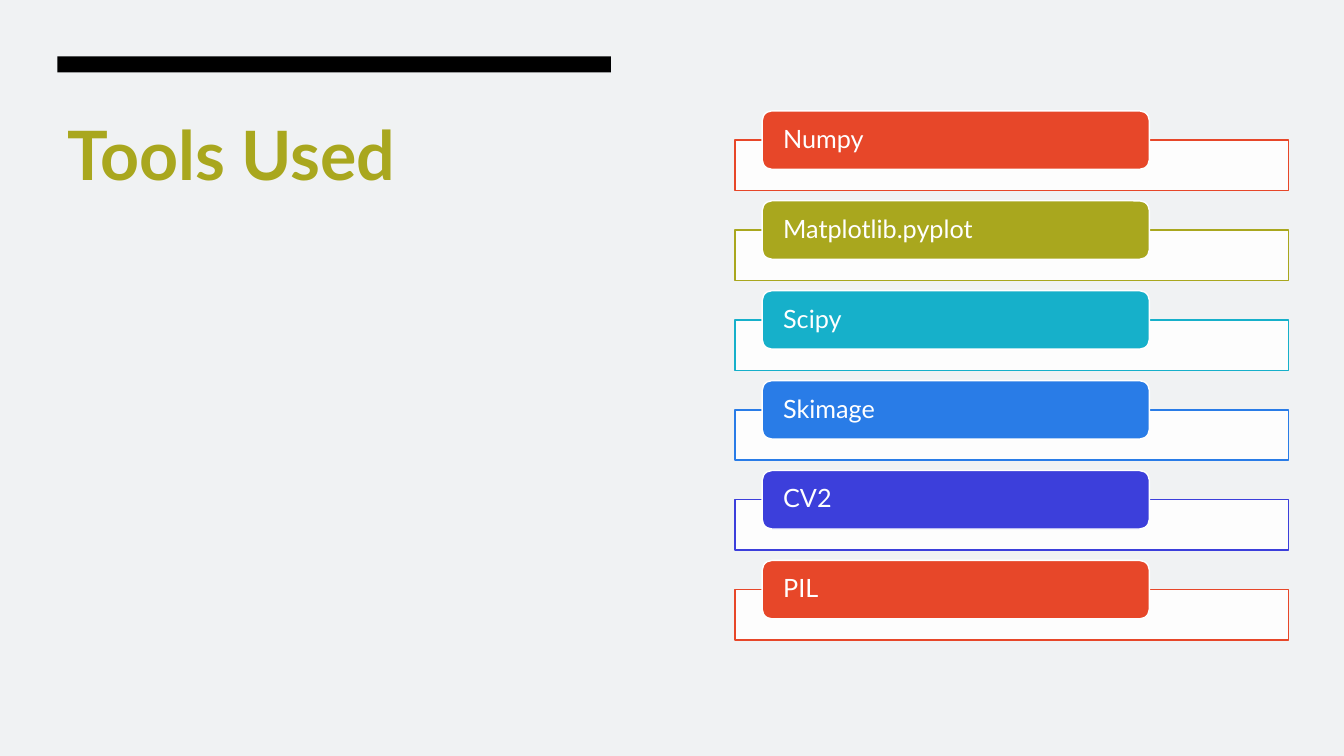
"""Build the "Tools Used" slide with a column of labelled tool cards."""
from dataclasses import dataclass

from lxml import etree
from pptx import Presentation
from pptx.dml.color import RGBColor
from pptx.enum.shapes import MSO_SHAPE
from pptx.enum.text import MSO_ANCHOR, MSO_AUTO_SIZE, PP_ALIGN
from pptx.oxml.ns import qn
from pptx.shapes.autoshape import Shape
from pptx.slide import Slide
from pptx.text.text import TextFrame
from pptx.util import Inches, Pt

RECTANGLE = MSO_SHAPE.RECTANGLE
ROUNDED = MSO_SHAPE.ROUNDED_RECTANGLE
TOP = MSO_ANCHOR.TOP
MIDDLE = MSO_ANCHOR.MIDDLE
LEFT = PP_ALIGN.LEFT
NO_AUTOFIT = MSO_AUTO_SIZE.NONE

PALE_GREY = RGBColor(0xF0, 0xF2, 0xF3)
BLACK = RGBColor(0x00, 0x00, 0x00)
WHITE = RGBColor(0xFF, 0xFF, 0xFF)
RED = RGBColor(0xE7, 0x47, 0x29)
OLIVE = RGBColor(0xA9, 0xA7, 0x1E)
TEAL = RGBColor(0x16, 0xB0, 0xCA)
BLUE = RGBColor(0x29, 0x7C, 0xE7)
INDIGO = RGBColor(0x3C, 0x3F, 0xDB)

FONT = "Lato"
COLUMN_WIDTH = 5.49
FIRST_LABEL_TOP = 1.1
LAST_LABEL_TOP = 5.56
FRAME_DROP = 0.29


@dataclass(frozen=True)
class Tool:
    """A tool name and its accent colour."""

    name: str
    color: RGBColor


@dataclass(frozen=True)
class Area:
    """A rectangle on the slide, in inches."""

    left: float
    top: float
    width: float
    height: float


TOOLS = (
    Tool("Numpy", RED),
    Tool("Matplotlib.pyplot", OLIVE),
    Tool("Scipy", TEAL),
    Tool("Skimage", BLUE),
    Tool("CV2", INDIGO),
    Tool("PIL", RED),
)


def write_text(frame: TextFrame, text: str, *, size: float, color: RGBColor,
               bold: bool = False, anchor: MSO_ANCHOR = MIDDLE,
               side_inset: float = 0.1, end_inset: float = 0.05,
               line_spacing: float = 1.0, space_after: float = 0) -> None:
    """Write one left-aligned paragraph with the given format."""
    frame.word_wrap = True
    frame.auto_size = NO_AUTOFIT
    frame.vertical_anchor = anchor
    frame.margin_left = frame.margin_right = Inches(side_inset)
    frame.margin_top = frame.margin_bottom = Inches(end_inset)
    para = frame.paragraphs[0]
    para.alignment = LEFT
    para.line_spacing = line_spacing
    para.space_before = Pt(0)
    para.space_after = Pt(space_after)
    span = para.add_run()
    span.text = text
    span.font.name = FONT
    span.font.size = Pt(size)
    span.font.bold = bold
    span.font.color.rgb = color


def add_box(page: Slide, kind: MSO_SHAPE, area: Area, fill: RGBColor,
            line: RGBColor | None = None, opacity: int = 100) -> Shape:
    """Add a filled shape with an optional one-point outline."""
    box = page.shapes.add_shape(kind, Inches(area.left), Inches(area.top),
                                Inches(area.width), Inches(area.height))
    box.shadow.inherit = False
    box.fill.solid()
    box.fill.fore_color.rgb = fill
    if opacity < 100:
        color = box.fill._xPr.find(qn("a:solidFill")).find(qn("a:srgbClr"))
        etree.SubElement(color, qn("a:alpha"), val=str(opacity * 1000))
    if line is None:
        box.line.fill.background()
    else:
        box.line.color.rgb = line
        box.line.width = Pt(1)
    return box


def add_title(page: Slide, text: str) -> None:
    """Place and fill the title placeholder."""
    title = page.shapes.title
    title.left, title.top = Inches(0.57), Inches(1.07)
    title.width, title.height = Inches(COLUMN_WIDTH), Inches(0.97)
    write_text(title.text_frame, text, size=48.6, color=OLIVE, bold=True, anchor=TOP)


def add_card(page: Slide, tool: Tool, top: float) -> None:
    """Add an outlined frame with the tool's label overlapping its top."""
    add_box(page, RECTANGLE, Area(7.29, top + FRAME_DROP, COLUMN_WIDTH, 0.5),
            WHITE, tool.color, opacity=90)
    label = add_box(page, ROUNDED, Area(7.56, top, 3.84, 0.58), tool.color, WHITE)
    write_text(label.text_frame, tool.name, size=18, color=WHITE, side_inset=0.18,
               end_inset=0.03, line_spacing=0.9)


def main() -> None:
    """Build and save the deck."""
    deck = Presentation()
    deck.slide_width, deck.slide_height = Inches(13.33), Inches(7.5)
    page = deck.slides.add_slide(deck.slide_layouts.get_by_name("Title Only"))
    page.background.fill.solid()
    page.background.fill.fore_color.rgb = PALE_GREY

    add_title(page, "Tools Used")
    add_box(page, RECTANGLE, Area(0.57, 0.56, COLUMN_WIDTH, 0.16), BLACK)
    pitch = (LAST_LABEL_TOP - FIRST_LABEL_TOP) / (len(TOOLS) - 1)
    for index, tool in enumerate(TOOLS):
        add_card(page, tool, FIRST_LABEL_TOP + index * pitch)
    deck.save("out.pptx")


if __name__ == "__main__":
    main()
